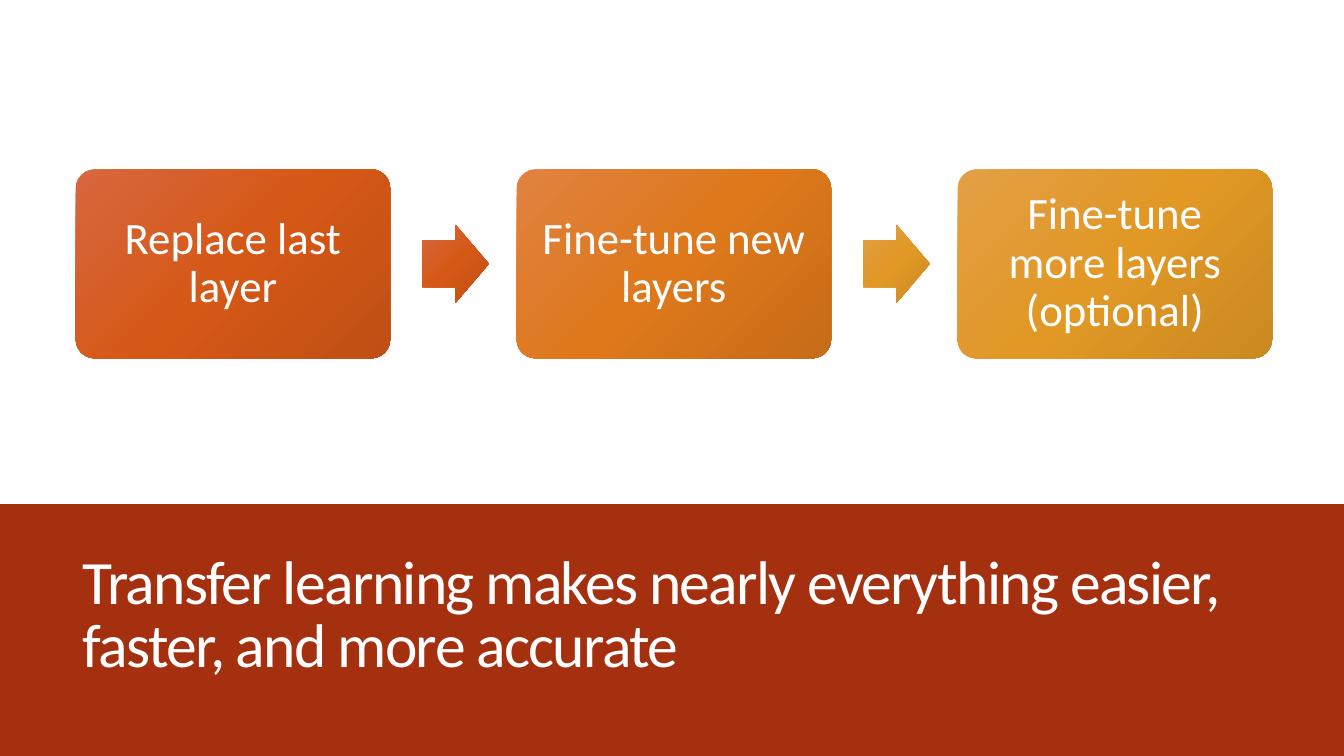
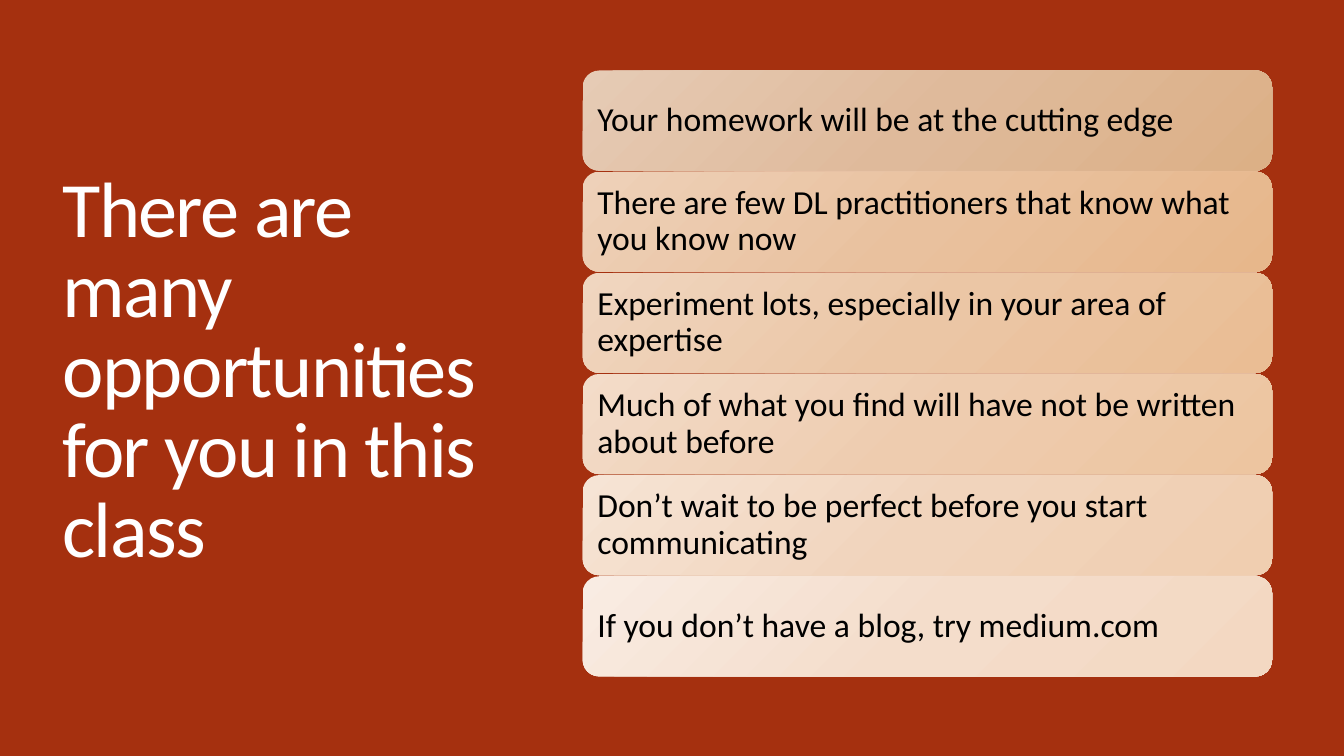
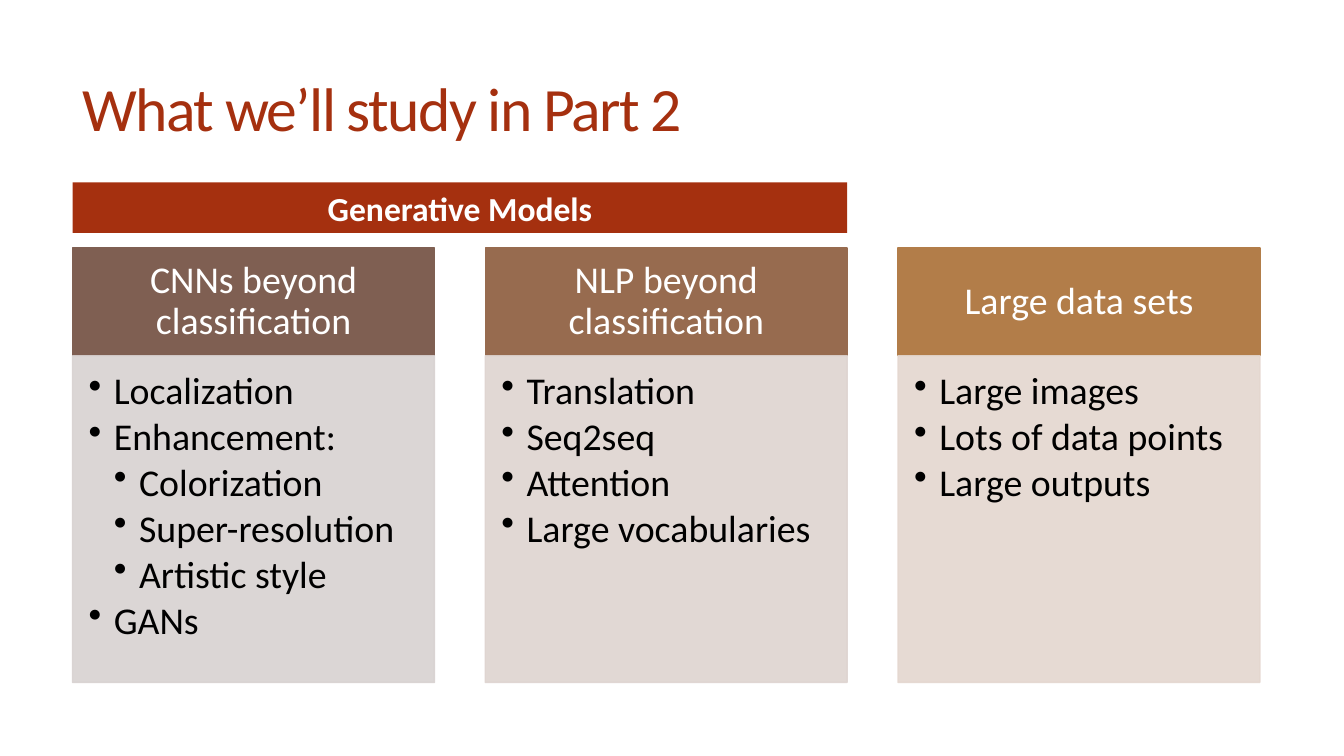
"""Build three course slides: transfer learning, opportunities and the Part 2 plan."""
from copy import deepcopy

from lxml.etree import SubElement
from pptx import Presentation
from pptx.dml.color import RGBColor
from pptx.enum.shapes import MSO_SHAPE as Shape
from pptx.enum.text import MSO_ANCHOR as Anchor, MSO_AUTO_SIZE as AutoSize, PP_ALIGN as Align
from pptx.oxml.ns import qn
from pptx.util import Emu, Inches, Pt

FONT = "Calibri"
RUST, WHITE, BLACK = "A5300F", "FFFFFF", "000000"
COLUMN, ROW = Emu(121920), Emu(68580)
GRID = (COLUMN, ROW, COLUMN, ROW)
color = RGBColor.from_string


def add_box(page, kind, area, colors, opacity=100, outlined=False):
    """Add a shape on the 100 by 100 grid, with a solid or a diagonal gradient fill."""
    box = page.shapes.add_shape(kind, *[round(part * unit) for part, unit in zip(area, GRID)])
    box.shadow.inherit = False
    box.line.fill.background()
    if len(colors) > 1:
        box.fill.gradient()
        box.fill.gradient_angle = 315
        stop_list = box.element.spPr.find(qn("a:gradFill")).find(qn("a:gsLst"))
        stop_list.append(deepcopy(stop_list[-1]))
        for index, stop in enumerate(box.fill.gradient_stops):
            stop.color.rgb = color(colors[index])
            stop.position = index / 2
        return box
    box.fill.solid()
    box.fill.fore_color.rgb = color(colors[0])
    if outlined:
        box.line.color.rgb = color(colors[0])
        box.line.width = Pt(1)
    if opacity < 100:
        for paint in box.element.spPr.iter(qn("a:srgbClr")):
            SubElement(paint, qn("a:alpha"), val=str(opacity * 1000))
    return box


def write(box, text, size, ink, align=Align.LEFT, margins=(0.1, 0.05, 0.1, 0.05),
          spacing=0.9, anchor=Anchor.MIDDLE):
    """Put formatted text in a shape or placeholder."""
    frame = box.text_frame
    frame.text = text
    frame.word_wrap = True
    frame.auto_size = AutoSize.NONE
    frame.vertical_anchor = anchor
    frame.margin_left, frame.margin_top, frame.margin_right, frame.margin_bottom = map(Inches, margins)
    for para in frame.paragraphs:
        para.alignment = align
        para.line_spacing = spacing
        for span in para.runs:
            span.font.name = FONT
            span.font.size = Pt(size)
            span.font.color.rgb = color(ink)
    return frame


deck = Presentation()
deck.slide_width, deck.slide_height = 100 * COLUMN, 100 * ROW

titles = [
    ("Transfer learning makes nearly everything easier, faster, and more accurate",
     (5.4, 69.6, 88.35, 24.13), 44, WHITE, WHITE),
    ("There are many opportunities for you in this class",
     (3.9, 9.33, 36.38, 80.13), 56, WHITE, RUST),
    ("What we’ll study in Part 2", (5.4, 7.33, 88.35, 15.2), 44, RUST, WHITE),
]
for text, area, size, ink, background in titles:
    page = deck.slides.add_slide(deck.slide_layouts[5])
    page.background.fill.solid()
    page.background.fill.fore_color.rgb = color(background)
    title = page.shapes.title
    title.left, title.top, title.width, title.height = [
        round(part * unit) for part, unit in zip(area, GRID)]
    frame = write(title, text, size, ink, spacing=0.85)
    frame.paragraphs[0].runs[0].font._element.set("spc", "-120")
transfer, opportunities, plan = deck.slides

band = add_box(transfer, Shape.RECTANGLE, (0, 66.67, 100, 33.33), [RUST])
transfer.shapes.element.insert(2, band.element)

steps = [
    ("Replace last layer", ("D7673F", "D55816", "BF4F14")),
    ("Fine-tune new layers", ("E08241", "DE781B", "C76C18")),
    ("Fine-tune more layers\v(optional)", ("E39F45", "E19825", "CA8921")),
]
arrow_colors = [steps[0][1], steps[2][1]]
step_top, step_height, arrow_height = 22.4, 25, 10.3
for index, (text, colors) in enumerate(steps):
    left = 5.63 + 32.81 * index
    card = add_box(transfer, Shape.ROUNDED_RECTANGLE, (left, step_top, 23.4, step_height), colors)
    card.adjustments[0] = 0.1
    write(card, text, 32, WHITE, Align.CENTER, [0.13] * 4)
    if index < len(arrow_colors):
        arrow_top = step_top + (step_height - arrow_height) / 2
        arrow = add_box(transfer, Shape.RIGHT_ARROW, (left + 25.8, arrow_top, 4.95, arrow_height),
                        arrow_colors[index])
        arrow.adjustments[0] = 0.6

chances = [
    ("Your homework will be at the cutting edge", ("E6CBB5", "DFBA9B", "DCB086")),
    ("There are few DL practitioners that know what you know now", ("EED1B9", "E9C19E", "E7B78B")),
    ("Experiment lots, especially in your area of expertise", ("F0D6C0", "EBC6A5", "EABD94")),
    ("Much of what you find will have not be written about before", ("F3DCC9", "EECCAF", "EDC5A0")),
    ("Don’t wait to be perfect before you start communicating", ("F6E4D5", "F1D4BC", "F0CEB0")),
    ("If you don’t have a blog, try medium.com", ("F9ECE3", "F4DDCB", "F3D8C2")),
]
for index, (text, colors) in enumerate(chances):
    bar = add_box(opportunities, Shape.ROUNDED_RECTANGLE,
                  (43.35, 9.33 + 13.38 * index, 51.3, 13.25), colors)
    write(bar, text, 24, BLACK, margins=[0.1] * 4)

topics = [
    ("CNNs beyond classification", "7F5F52", "D8D2D1",
     [(1, "Localization"), (1, "Enhancement:"), (2, "Colorization"),
      (2, "Super-resolution"), (2, "Artistic style"), (1, "GANs")]),
    ("NLP beyond classification", "976B4F", "DED4D0",
     [(1, "Translation"), (1, "Seq2seq"), (1, "Attention"), (1, "Large vocabularies")]),
    ("Large data sets", "B27D49", "E4D7CF",
     [(1, "Large images"), (1, "Lots of data points"), (1, "Large outputs")]),
]
topic_left, topic_width, topic_pitch = 5.4, 26.93, 30.71
head_top, head_height = 32.8, 14.27
for index, (heading, head_color, body_color, items) in enumerate(topics):
    left = topic_left + topic_pitch * index
    head = add_box(plan, Shape.RECTANGLE, (left, head_top, topic_width, head_height),
                   [head_color], outlined=True)
    write(head, heading, 27, WHITE, Align.CENTER, (0.21, 0.12, 0.21, 0.12))
    body = add_box(plan, Shape.RECTANGLE, (left, head_top + head_height, topic_width, 43.2),
                   [body_color], opacity=90, outlined=True)
    frame = write(body, "\n".join(item for level, item in items), 27, BLACK,
                  margins=(0.16, 0.16, 0.21, 0.24), anchor=Anchor.TOP)
    for para, (level, item) in zip(frame.paragraphs, items):
        para.level = level
        para.space_after = Pt(3.6)
        properties = para._p.get_or_add_pPr()
        properties.set("marL", str(Inches(0.25 * level)))
        properties.set("indent", str(Inches(-0.25)))
        SubElement(properties, qn("a:buChar"), char="•")

models = add_box(plan, Shape.RECTANGLE, (topic_left, 24.13, topic_pitch + topic_width, 6.67), [RUST])
frame = write(models, "Generative Models", 24, WHITE, Align.CENTER, spacing=1.0)
frame.paragraphs[0].runs[0].font.bold = True

deck.save("out.pptx")
